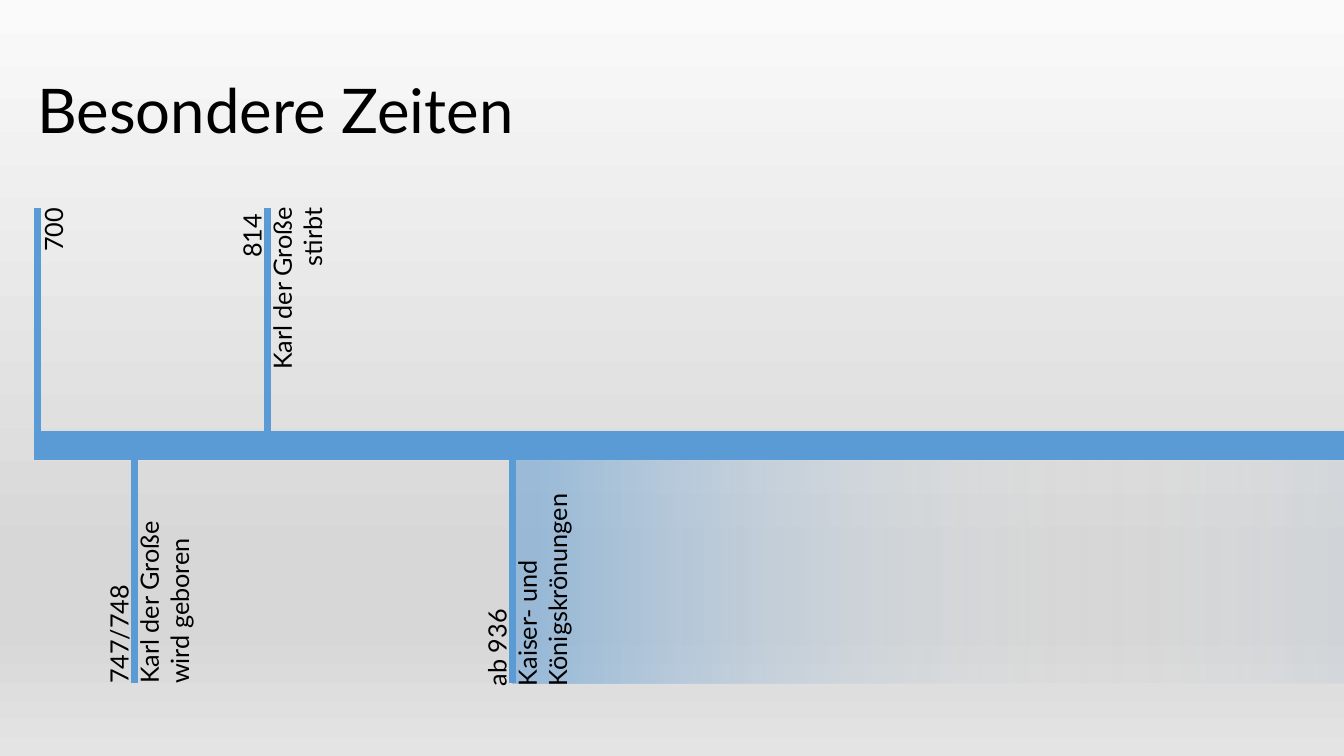
from lxml import etree
from pptx import Presentation
from pptx.dml.color import RGBColor
from pptx.enum.shapes import MSO_CONNECTOR, MSO_SHAPE
from pptx.enum.text import MSO_ANCHOR, PP_ALIGN
from pptx.oxml.ns import qn
from pptx.util import Inches, Pt

LINE = MSO_CONNECTOR.STRAIGHT
TOP, MIDDLE, BOTTOM = MSO_ANCHOR.TOP, MSO_ANCHOR.MIDDLE, MSO_ANCHOR.BOTTOM
LEFT, RIGHT = PP_ALIGN.LEFT, PP_ALIGN.RIGHT

COLORS = {"text": "000000", "blue": "5B9BD5", "fade": "E4E4E4"}
FONT = "Lato"
TITLE = "Besondere Zeiten"
# position (percent, opacity), colour, opacity
PAGE_STOPS = [(0, "FAFAFA", 100), (74, "D7D7D7", 100), (83, "D7D7D7", 100), (100, "E4E4E4", 100)]
ERA_STOPS = [(0, COLORS["blue"], 50), (53, COLORS["fade"], 0), (98, COLORS["blue"], 50)]
# tick x, side, label centre relative to tick, label length, start inset, text
EVENTS = [
    (1.33, "below", 0.12, 1.85, 0, "747/748 \vKarl der Große wird geboren"),
    (2.65, "above", 0.17, 1.80, 0.1, "814 \vKarl der Große stirbt"),
    (5.08, "below", 0.12, 2.09, 0.1, "ab 936 \vKaiser- und Königskrönungen"),
    (0.37, "above", 0.48, 1.79, 0.1, "700"),
]
WIDTH, HEIGHT = 13.33, 7.5
AXIS_X, AXIS_Y, AXIS_END = 0.37, 4.42, 26.35
AXIS_PT, TICK_PT = 20, 5
TICK, LABEL_DEPTH = 2.36, 0.95
ERA_X, ERA_W = 5.08, 12.36
LABEL_Y = {"below": 5.86, "above": 2.96}
TICK_END = {"below": AXIS_Y + TICK, "above": AXIS_Y - TICK}


def set_gradient(fill, stops, angle):
    """Replace the default stops; the angle runs clockwise."""
    fill.gradient()
    fill.gradient_angle = (360 - angle) % 360
    gs_list = fill._fill._gradFill.find(qn("a:gsLst"))
    for old in list(gs_list):
        gs_list.remove(old)
    for pos, color, opacity in stops:
        gs = etree.SubElement(gs_list, qn("a:gs"), pos=str(pos * 1000))
        clr = etree.SubElement(gs, qn("a:srgbClr"), val=color)
        if opacity < 100:
            etree.SubElement(clr, qn("a:alpha"), val=str(opacity * 1000))


def add_line(s, x1, y1, x2, y2, width, arrow=False):
    c = s.shapes.add_connector(LINE, *map(Inches, (x1, y1, x2, y2)))
    c.line.color.rgb = RGBColor.from_string(COLORS["blue"])
    c.line.width = Pt(width)
    if arrow:
        etree.SubElement(c.line._get_or_add_ln(), qn("a:tailEnd"), type="triangle")
    etree.SubElement(c._element.spPr, qn("a:effectLst"))


def add_text(s, text, box, size=18, anchor=TOP, align=LEFT, insets=(0, 0, 0, 0),
             rotation=0, spacing=None):
    tb = s.shapes.add_textbox(*map(Inches, box))
    tb.rotation = rotation
    tf = tb.text_frame
    tf.word_wrap = True
    tf.vertical_anchor = anchor
    tf.margin_left, tf.margin_top, tf.margin_right, tf.margin_bottom = map(Inches, insets)
    p = tf.paragraphs[0]
    p.text = text
    p.alignment = align
    p.line_spacing = spacing
    for r in p.runs:
        r.font.size = Pt(size)
        r.font.name = FONT
        r.font.color.rgb = RGBColor.from_string(COLORS["text"])


def add_event(s, x, side, shift, length, inset, text):
    below = side == "below"
    foot = AXIS_Y
    if x == AXIS_X:
        foot += AXIS_PT / 2 / 72  # square off the start of the axis
    add_line(s, x, foot, x, TICK_END[side], TICK_PT)
    box = (x + shift - length / 2, LABEL_Y[side] - LABEL_DEPTH / 2, length, LABEL_DEPTH)
    add_text(s, text, box, rotation=270, anchor=BOTTOM if below else TOP,
             align=LEFT if below else RIGHT, insets=(inset, 0.05 if below else 0, 0, 0))


def main():
    prs = Presentation()
    prs.slide_width, prs.slide_height = Inches(WIDTH), Inches(HEIGHT)
    s = prs.slides.add_slide(prs.slide_layouts[6])
    set_gradient(s.background.fill, PAGE_STOPS, 90)
    add_text(s, TITLE, (AXIS_X, 0.4, 12.6, 1.45), size=44, anchor=MIDDLE,
             insets=(0, 0.05, 0.1, 0.05), spacing=0.9)
    era = s.shapes.add_shape(MSO_SHAPE.RECTANGLE, *map(Inches, (ERA_X, AXIS_Y, ERA_W, TICK)))
    era.shadow.inherit = False
    era.line.fill.background()
    set_gradient(era.fill, ERA_STOPS, 180)
    add_line(s, AXIS_X, AXIS_Y, AXIS_END, AXIS_Y, AXIS_PT, arrow=True)
    for event in EVENTS:
        add_event(s, *event)
    prs.save("out.pptx")


if __name__ == "__main__":
    main()
